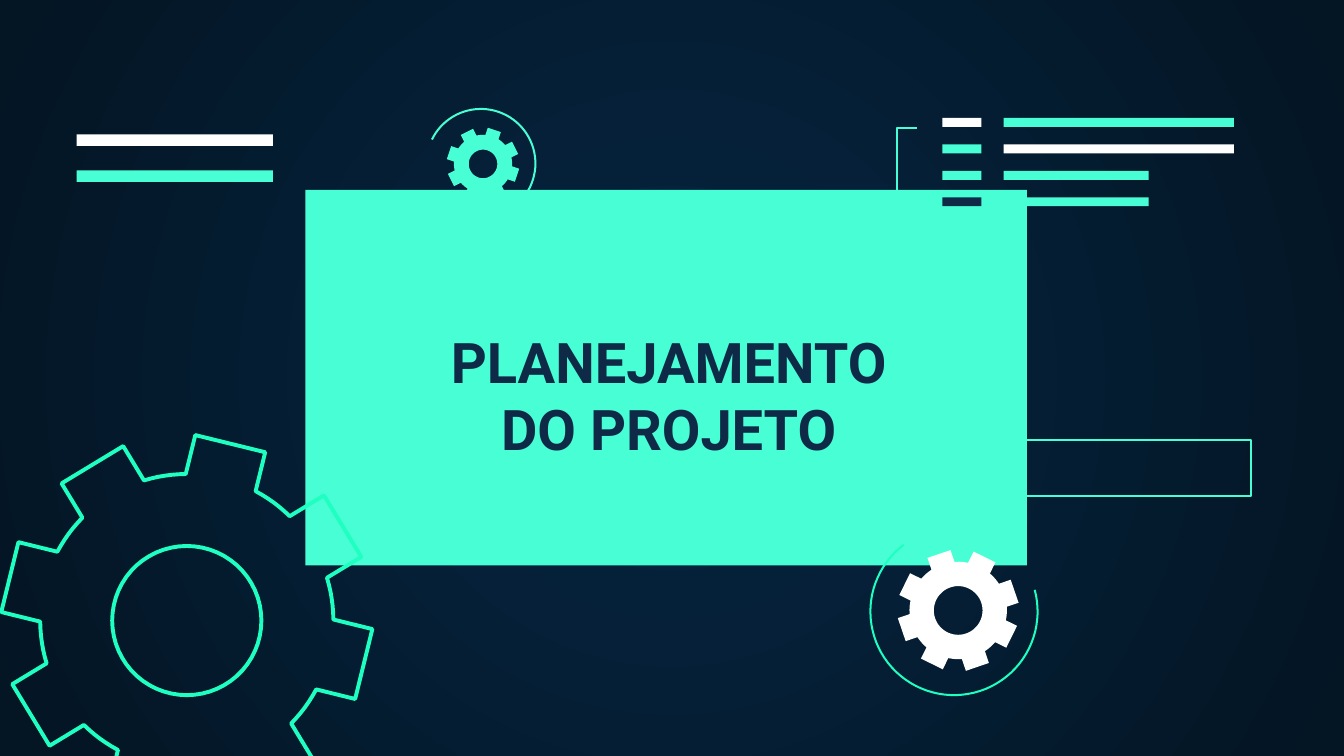
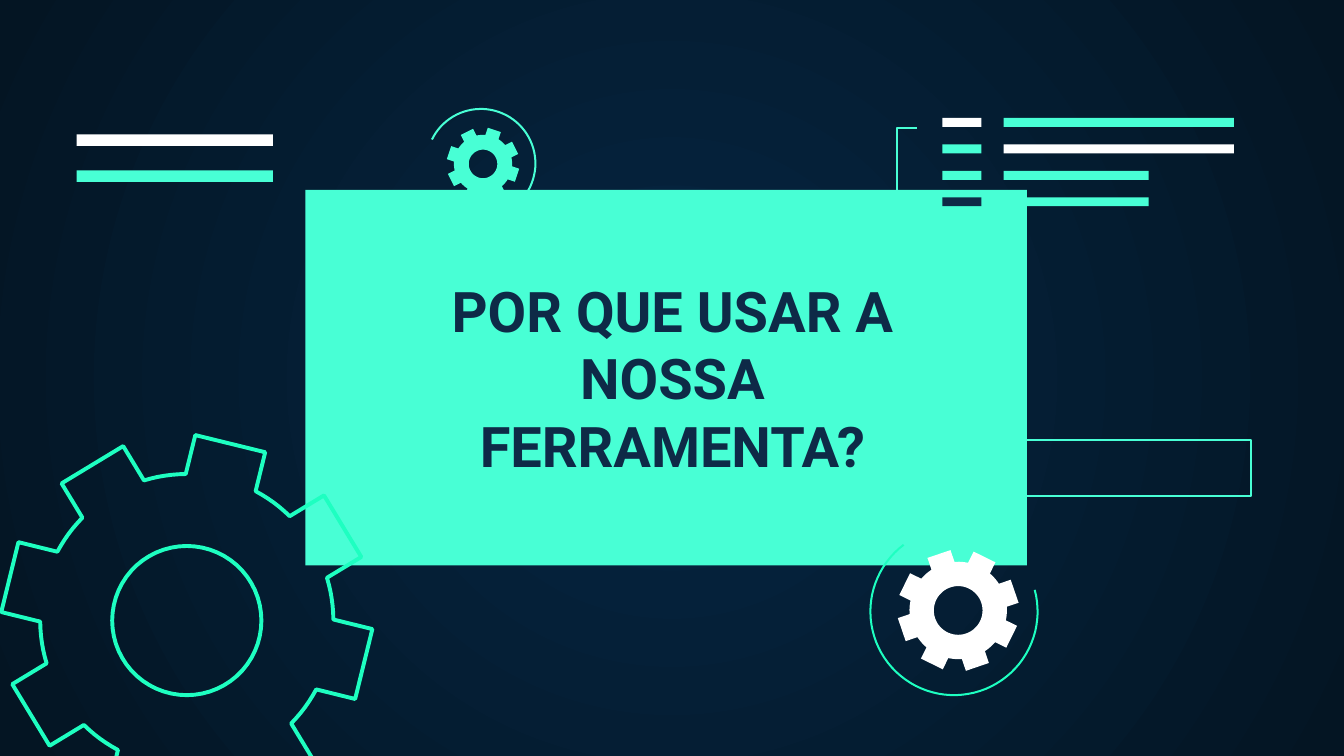
from math import asin, cos, degrees, radians, sin

from lxml import etree
from pptx import Presentation
from pptx.dml.color import RGBColor
from pptx.enum import shapes, text
from pptx.oxml.ns import qn
from pptx.util import Cm, Pt

MINT = RGBColor(0x48, 0xFF, 0xD5)
GREEN = RGBColor(0x1E, 0xFF, 0xC1)
WHITE = RGBColor(0xFF, 0xFF, 0xFF)
NAVY = RGBColor(0x0E, 0x2A, 0x47)
GLOW = RGBColor(0x05, 0x26, 0x43)
NIGHT = RGBColor(0x04, 0x15, 0x23)
FONT = "Roboto"
THIN, THICK = Pt(1.09), Pt(2.1)
TEETH = 8

SECTIONS = [
    ("PLANEJAMENTO DO PROJETO", 7.47, 5.94),
    ("POR QUE USAR A NOSSA FERRAMENTA?", 7.54, 4.98),
]
TITLE_SIZE = (10.34, 2.41)

PANEL = (5.77, 3.59, 13.64, 7.1)
SLOT = (18.29, 8.32, 5.35, 1.05)
BRACKET = [(17.35, 3.96), (16.95, 3.96), (16.95, 2.42), (17.33, 2.42)]
ARCS = [
    {"center": (9.09, 3.09), "radius": 1.03, "start": 206, "end": 456, "color": MINT},
    {"center": (18.03, 11.56), "radius": 1.58, "start": -15, "end": 233, "color": GREEN},
]
OUTLINE_GEAR = {"center": (3.53, 11.73), "tip": 3.51, "root": 2.77,
                "half": 0.68, "hole": 1.41, "turn": 13.8}
SOLID_GEARS = [
    ({"center": (18.11, 11.54), "tip": 1.15, "root": 0.92,
      "half": 0.23, "hole": 0.46, "turn": 26.2}, WHITE),
    ({"center": (9.13, 3.1), "tip": 0.69, "root": 0.55,
      "half": 0.13, "hole": 0.27, "turn": 18.4}, MINT),
]
BAR_GROUPS = [
    {"left": 17.81, "top": 2.23, "pitch": 0.5, "height": 0.17,
     "bars": [(0.74, WHITE), (0.74, MINT), (0.74, MINT), (0.74, NAVY)]},
    {"left": 18.97, "top": 2.23, "pitch": 0.5, "height": 0.17,
     "bars": [(4.35, MINT), (4.35, WHITE), (2.74, MINT), (2.74, MINT)]},
    {"left": 1.45, "top": 2.54, "pitch": 0.68, "height": 0.22,
     "bars": [(3.71, WHITE), (3.71, MINT)]},
]


def polar(center, radius, angle):
    turn = radians(angle)
    return center[0] + radius * cos(turn), center[1] + radius * sin(turn)


def arc_points(center, radius, start, end, steps=60):
    return [polar(center, radius, start + (end - start) * step / steps)
            for step in range(steps + 1)]


def gear_contours(center, tip, root, half, hole, turn):
    flank = degrees(asin(half / root))
    corner = degrees(asin(half / tip))
    pitch = 360 / TEETH
    rim = []
    for tooth in range(TEETH):
        axis = turn + tooth * pitch
        rim += [polar(center, tip, axis - corner), polar(center, tip, axis + corner)]
        rim += arc_points(center, root, axis + flank, axis + pitch - flank, 6)
    return [rim, arc_points(center, hole, 0, 360)]


def style(shape, fill=None, line=None, width=THIN):
    shape.shadow.inherit = False
    if fill is None:
        shape.fill.background()
    else:
        shape.fill.solid()
        shape.fill.fore_color.rgb = fill
    if line is None:
        shape.line.fill.background()
    else:
        shape.line.color.rgb = line
        shape.line.width = width


def add_outline(page, contours, close=True, **look):
    paths = [[(Cm(x), Cm(y)) for x, y in contour] for contour in contours]
    builder = page.shapes.build_freeform(*paths[0][0])
    for number, path in enumerate(paths):
        if number:
            builder.move_to(*path[0])
        builder.add_line_segments(path[1:], close=close)
    style(builder.convert_to_shape(), **look)


def add_box(page, frame, **look):
    box = page.shapes.add_shape(shapes.MSO_SHAPE.RECTANGLE, *map(Cm, frame))
    style(box, **look)


def paint_background(master):
    fill = master.background.fill
    fill.gradient()
    for stop, color in zip(fill.gradient_stops, (GLOW, NIGHT)):
        stop.color.rgb = color
    gradient = master.element.find(".//" + qn("a:gradFill"))
    linear = gradient.find(qn("a:lin"))
    if linear is not None:
        gradient.remove(linear)
    circle = etree.SubElement(gradient, qn("a:path"), path="circle")
    etree.SubElement(circle, qn("a:fillToRect"), l="50000", t="50000", r="50000", b="50000")


def decorate(page):
    add_box(page, PANEL, fill=MINT)
    for arc in ARCS:
        points = arc_points(arc["center"], arc["radius"], arc["start"], arc["end"])
        add_outline(page, [points], close=False, line=arc["color"])
    add_outline(page, gear_contours(**OUTLINE_GEAR), line=GREEN, width=THICK)
    for gear, color in SOLID_GEARS:
        add_outline(page, gear_contours(**gear), fill=color)
    for group in BAR_GROUPS:
        for row, (width, color) in enumerate(group["bars"]):
            top = group["top"] + row * group["pitch"]
            add_box(page, (group["left"], top, width, group["height"]), fill=color)
    add_outline(page, [BRACKET], close=False, line=MINT)
    add_box(page, SLOT, line=MINT)


def add_title(page, words, left, top):
    title = page.shapes.title
    page.shapes.element.append(title.element)
    title.left, title.top = Cm(left), Cm(top)
    title.width, title.height = map(Cm, TITLE_SIZE)
    frame = title.text_frame
    frame.word_wrap = True
    frame.auto_size = text.MSO_AUTO_SIZE.NONE
    frame.vertical_anchor = text.MSO_ANCHOR.TOP
    frame.margin_left = frame.margin_right = Cm(0.25)
    frame.margin_top = frame.margin_bottom = Cm(0.25)
    para = frame.paragraphs[0]
    para.alignment = text.PP_ALIGN.CENTER
    span = para.add_run()
    span.text = words
    span.font.name = FONT
    span.font.size = Pt(30)
    span.font.bold = True
    span.font.color.rgb = NAVY


def main():
    deck = Presentation()
    deck.slide_width, deck.slide_height = Cm(25.4), Cm(14.29)
    paint_background(deck.slide_master)
    layout = deck.slide_layouts.get_by_name("Title Only")
    for section in SECTIONS:
        page = deck.slides.add_slide(layout)
        decorate(page)
        add_title(page, *section)
    deck.save("out.pptx")


if __name__ == "__main__":
    main()
